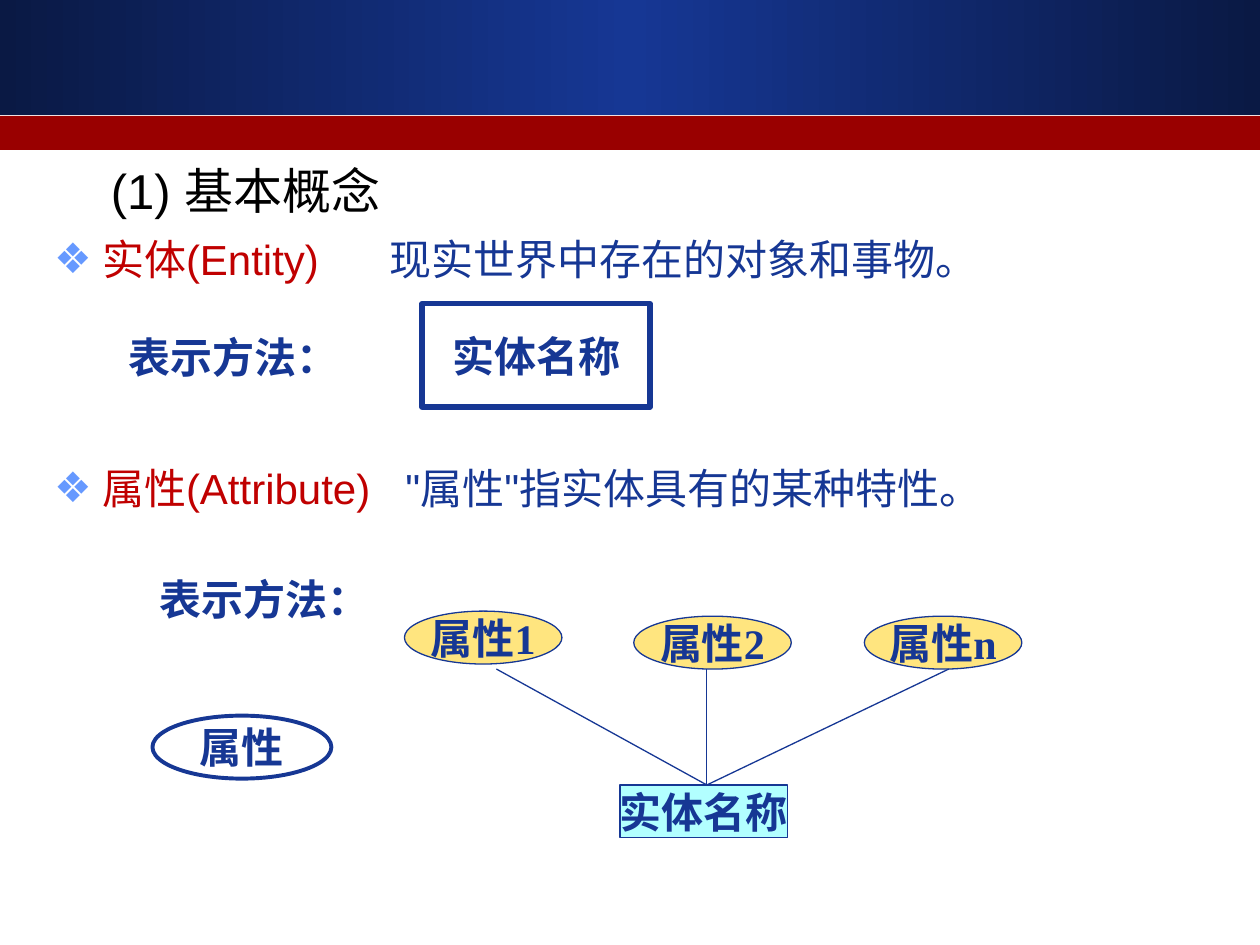
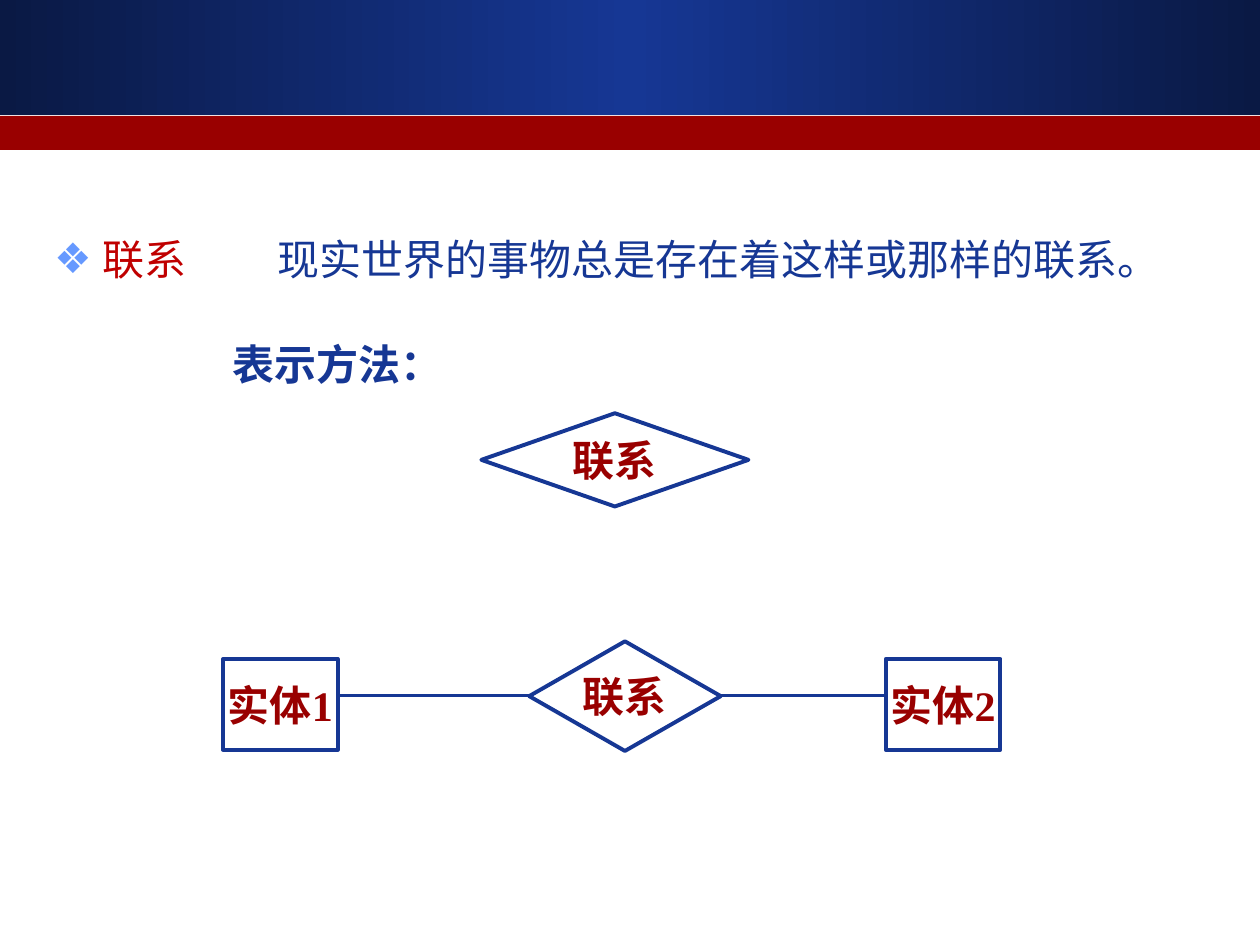
"""Builds two slides on entities, attributes and relationships."""
from copy import deepcopy
from dataclasses import dataclass

from lxml import etree
from pptx import Presentation, util as u
from pptx.dml.color import RGBColor
from pptx.enum import shapes, text
from pptx.oxml import ns

SHAPE = shapes.MSO_SHAPE
COLUMNS, ROWS = 100, 75


@dataclass(frozen=True)
class Theme:
    """Colours, fonts and type sizes of the presentation."""
    navy: str = "163794"
    dark_navy: str = "0A1944"
    red: str = "990000"
    term: str = "C00000"
    black: str = "000000"
    bullet: str = "6699FF"
    cyan: str = "66FFFF"
    gold: str = "FFCC00"
    sans: str = "Arial"
    serif: str = "Times New Roman"
    title_size: float = 28
    size: float = 24
    thin: float = 0.75
    medium: float = 2.25
    thick: float = 3


def apply(target, **values):
    """Set each named attribute of the target."""
    for name, value in values.items():
        setattr(target, name, value)


def add_xml(parent, tag, **attributes):
    """Append a DrawingML element to the parent."""
    return etree.SubElement(parent, ns.qn(tag), attributes)


class Deck:
    """Holds the theme and the current slide, and draws on it."""

    def __init__(self, theme):
        self.theme = theme
        self.presentation = Presentation()
        apply(self.presentation, slide_width=u.Inches(10), slide_height=u.Inches(7.5))
        self.slide = self.shapes = None

    def x(self, columns):
        """Turn grid columns into a length."""
        return round(self.presentation.slide_width * columns / COLUMNS)

    def y(self, rows):
        """Turn grid rows into a length."""
        return round(self.presentation.slide_height * rows / ROWS)

    def place(self, left, top, width, height):
        """Turn a grid rectangle into lengths."""
        return self.x(left), self.y(top), self.x(width), self.y(height)

    def move(self, shape, *area):
        """Move a placeholder to a grid rectangle."""
        apply(shape, **dict(zip(("left", "top", "width", "height"), self.place(*area))))

    def add_slide(self):
        """Start a slide; the first one also gives the master its bands."""
        first = self.slide is None
        self.slide = self.presentation.slides.add_slide(self.presentation.slide_layouts[1])
        self.shapes = self.slide.shapes
        if first:
            self.add_bands()

    def add_group(self):
        """Send the next shapes of this slide into a new group."""
        self.shapes = self.slide.shapes.add_group_shape().shapes

    def add_bands(self):
        """Draw the header bands and hand them to the slide master."""
        theme = self.theme
        header = self.add_shape(SHAPE.RECTANGLE, (0, 0, 100, 9.1))
        header.fill.gradient()
        header.fill.gradient_angle = 0
        stop_list = header.element.spPr.find(".//" + ns.qn("a:gsLst"))
        stop_list.append(deepcopy(stop_list[0]))
        colours = (theme.dark_navy, theme.navy, theme.dark_navy)
        for index, (stop, colour) in enumerate(zip(header.fill.gradient_stops, colours)):
            stop.position = index / 2
            stop.color.rgb = RGBColor.from_string(colour)
        stripe = self.add_shape(SHAPE.RECTANGLE, (0, 9.2, 100, 2.7), fill=theme.red)
        master = self.presentation.slide_master.shapes.element
        for index, band in enumerate((header, stripe), start=2):
            master.insert(index, band.element)

    def add_run(self, paragraph, words, colour, **values):
        """Add a run in the given colour and font."""
        run = paragraph.add_run()
        run.text = words
        apply(run.font, **{"size": u.Pt(self.theme.size), "name": self.theme.sans, **values})
        run.font.color.rgb = RGBColor.from_string(colour)
        return run

    def add_label(self, frame, words, colour):
        """Write one bold serif line that does not wrap."""
        frame.word_wrap = False
        self.add_run(frame.paragraphs[0], words, colour, name=self.theme.serif, bold=True)

    def set_indent(self, paragraph, left, hanging):
        """Give a paragraph a left margin and a hanging indent, in columns."""
        properties = paragraph._p.get_or_add_pPr()
        properties.set("marL", str(self.x(left)))
        properties.set("indent", str(-self.x(hanging)))
        return properties

    def title(self, words=None):
        """Fill the title placeholder, or remove it when there is no title."""
        title = self.slide.shapes.title
        if not words:
            title.element.getparent().remove(title.element)
            return
        self.move(title, 6.6, 12.2, 93.4, 7.5)
        apply(title.text_frame, vertical_anchor=text.MSO_ANCHOR.TOP,
              auto_size=text.MSO_AUTO_SIZE.NONE)
        paragraph = title.text_frame.paragraphs[0]
        apply(paragraph, alignment=text.PP_ALIGN.LEFT, space_before=u.Pt(4))
        self.set_indent(paragraph, 4, 2.8)
        self.add_run(paragraph, words, self.theme.black, size=u.Pt(self.theme.title_size))

    def definitions(self, *entries, space_between=92.4):
        """List terms with their meaning; each gap widens one space, in points."""
        theme = self.theme
        body = self.slide.placeholders[1]
        self.move(body, 3.3, 17.5, 93.4, 42.5)
        frame = body.text_frame
        frame.auto_size = text.MSO_AUTO_SIZE.NONE
        for index, (term, gap, meaning) in enumerate(entries):
            paragraph = frame.add_paragraph() if index else frame.paragraphs[0]
            apply(paragraph, line_spacing=1.13, space_after=u.Pt(6),
                  space_before=u.Pt(space_between if index else 6))
            properties = self.set_indent(paragraph, 3.8, 3.8)
            add_xml(add_xml(properties, "a:buClr"), "a:srgbClr", val=theme.bullet)
            add_xml(properties, "a:buChar", char="❖")
            self.add_run(paragraph, term, theme.term)
            space = self.add_run(paragraph, " ", theme.term)
            space.font._element.set("spc", str(round(gap * 100)))
            self.add_run(paragraph, meaning, theme.navy)

    def caption(self, left, top, words="表示方法："):
        """Write a bold caption on the slide."""
        box = self.slide.shapes.add_textbox(*self.place(left, top, 18.8, 5))
        box.text_frame.auto_size = text.MSO_AUTO_SIZE.SHAPE_TO_FIT_TEXT
        self.add_label(box.text_frame, words, self.theme.navy)

    def add_shape(self, kind, area, fill=None, opacity=100, line=None):
        """Draw a preset shape with an optional fill and outline."""
        shape = self.shapes.add_shape(kind, *self.place(*area))
        shape.shadow.inherit = False
        if fill:
            shape.fill.solid()
            shape.fill.fore_color.rgb = RGBColor.from_string(fill)
            if opacity < 100:
                colour = shape.element.spPr.find(".//" + ns.qn("a:srgbClr"))
                add_xml(colour, "a:alpha", val=str(opacity * 1000))
        else:
            shape.fill.background()
        if line:
            self.set_line(shape.line, line)
        else:
            shape.line.fill.background()
        return shape

    def node(self, kind, area, words, colour=None, line=None, **look):
        """Draw a diagram shape with a centred label."""
        shape = self.add_shape(kind, area, line=line or self.theme.medium, **look)
        frame = shape.text_frame
        frame.vertical_anchor = text.MSO_ANCHOR.MIDDLE
        frame.paragraphs[0].alignment = text.PP_ALIGN.CENTER
        self.add_label(frame, words, colour or self.theme.navy)

    def set_line(self, line, width):
        """Make a navy line of the given width in points."""
        line.color.rgb = RGBColor.from_string(self.theme.navy)
        line.width = u.Pt(width)

    def link(self, start, end, width):
        """Join two grid points with a straight connector."""
        connector = self.shapes.add_connector(
            shapes.MSO_CONNECTOR.STRAIGHT,
            self.x(start[0]), self.y(start[1]), self.x(end[0]), self.y(end[1]))
        self.set_line(connector.line, width)
        add_xml(connector._element.spPr, "a:effectLst")


def build_concepts(deck):
    """Build the slide on entities and attributes."""
    theme = deck.theme
    deck.add_slide()
    deck.title("(1) 基本概念")
    deck.definitions(("实体(Entity)", 33.35, "现实世界中存在的对象和事物。"),
                     ("属性(Attribute)", 13.34, "\"属性\"指实体具有的某种特性。"))
    deck.node(SHAPE.RECTANGLE, (33.5, 24.1, 18.1, 8.2), "实体名称", line=theme.thick)
    deck.caption(9.2, 25.8)
    deck.caption(11.7, 45)
    deck.node(SHAPE.OVAL, (12.1, 56.8, 14.2, 5), "属性")

    deck.add_group()
    entity_top = (56.1, 62.3)
    deck.node(SHAPE.RECTANGLE, (49.2, 62.3, 13.3, 4.2), "实体名称",
              fill=theme.cyan, opacity=50, line=theme.thin)
    attributes = (("属性1", 32.1, 48.5, 39.4), ("属性2", 50.3, 48.9, 56.1),
                  ("属性n", 68.6, 48.9, 75.3))
    for words, left, top, link_left in attributes:
        deck.node(SHAPE.OVAL, (left, top, 12.5, 4.2), words,
                  fill=theme.gold, opacity=50, line=theme.thin)
        deck.link((link_left, 53.1), entity_top, theme.thin)


def build_relationships(deck):
    """Build the slide on relationships."""
    theme = deck.theme
    deck.add_slide()
    deck.title()
    deck.definitions(("联系", 46.69, "现实世界的事物总是存在着这样或那样的联系。"))
    deck.node(SHAPE.FLOWCHART_DECISION, (38.2, 32.8, 21.2, 7.4), "联系", theme.red)
    deck.caption(17.5, 26.4)

    deck.add_group()
    for words, left in (("实体1", 17.7), ("实体2", 70.3)):
        deck.node(SHAPE.RECTANGLE, (left, 52.3, 9.1, 7.2), words, theme.red)
    deck.node(SHAPE.FLOWCHART_DECISION, (42, 50.9, 15.2, 8.7), "联系", theme.red)
    for left, right in ((26.8, 42), (57.2, 70.3)):
        deck.link((left, 55.2), (right, 55.2), theme.medium)


def main():
    """Build and save the presentation."""
    deck = Deck(Theme())
    build_concepts(deck)
    build_relationships(deck)
    deck.presentation.save("out.pptx")


main()
